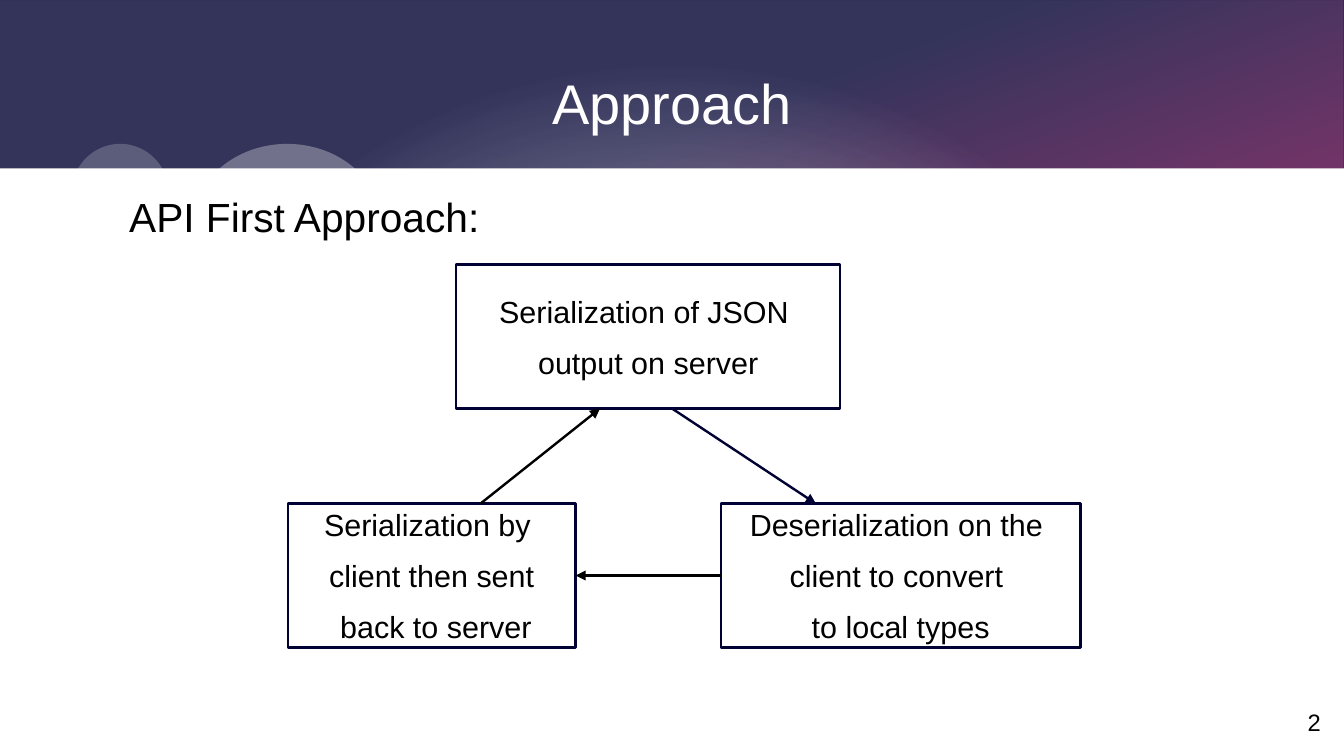
"""Build the Approach slide: an API-first cycle of three steps."""
from pptx import Presentation
from pptx.dml.color import RGBColor
from pptx.enum.shapes import MSO_CONNECTOR, MSO_SHAPE
from pptx.enum.text import MSO_ANCHOR, PP_ALIGN
from pptx.oxml import parse_xml
from pptx.oxml.ns import nsdecls, qn
from pptx.util import Inches, Pt

COLORS = {"navy": "000032", "pink": "F60063", "white": "FFFFFF", "black": "000000"}
FONT = "Arial"
WIDTH, HEIGHT, HEADER = 11.02, 6.2, 1.38
BOX_HEIGHT = 1.18


def add_shape(page, kind, left, top, width, height, stops, shading=""):
    """Add a shape with one solid stop, or a gradient of (position, color, opacity)."""
    shape = page.shapes.add_shape(
        kind, Inches(left), Inches(top), Inches(width), Inches(height))
    shape.shadow.inherit = False
    shape.line.fill.background()
    shape.fill.background()
    tints = [(position, f'<a:srgbClr val="{COLORS[color]}">'
              f'<a:alpha val="{opacity * 1000}"/></a:srgbClr>')
             for position, color, opacity in stops]
    if shading:
        marks = "".join(f'<a:gs pos="{position * 1000}">{tint}</a:gs>'
                        for position, tint in tints)
        fill = (f'<a:gradFill {nsdecls("a")} rotWithShape="1">'
                f'<a:gsLst>{marks}</a:gsLst>{shading}</a:gradFill>')
    else:
        fill = f'<a:solidFill {nsdecls("a")}>{tints[0][1]}</a:solidFill>'
    properties = shape.fill._xPr
    properties.replace(properties.find(qn("a:noFill")), parse_xml(fill))
    return shape


def write(box, text, size, color="black", align=PP_ALIGN.LEFT,
          anchor=MSO_ANCHOR.TOP, margins=(0, 0), wrap=True, after=0):
    """Fill a box with one paragraph for each line of text."""
    frame = box.text_frame
    frame.word_wrap = wrap
    frame.vertical_anchor = anchor
    frame.margin_left = frame.margin_right = Inches(margins[0])
    frame.margin_top = frame.margin_bottom = Inches(margins[1])
    for index, line in enumerate(text.split("\n")):
        para = frame.add_paragraph() if index else frame.paragraphs[0]
        para.alignment = align
        para.space_after = Pt(after)
        span = para.add_run()
        span.text = line
        span.font.name = FONT
        span.font.size = Pt(size)
        span.font.color.rgb = RGBColor.from_string(COLORS[color])


deck = Presentation()
deck.slide_width, deck.slide_height = Inches(WIDTH), Inches(HEIGHT)
page = deck.slides.add_slide(deck.slide_layouts[6])

add_shape(page, MSO_SHAPE.RECTANGLE, 0, 0, WIDTH, HEIGHT,
          [(30, "navy", 100), (100, "pink", 100)],
          '<a:lin ang="4200000" scaled="0"/>')
add_shape(page, MSO_SHAPE.RECTANGLE, 0, 0, WIDTH, HEIGHT,
          [(0, "white", 90), (75, "white", 20)],
          '<a:path path="circle"><a:fillToRect l="50000" t="85000" '
          'r="50000" b="15000"/></a:path>')
add_shape(page, MSO_SHAPE.RECTANGLE, 0, HEADER, WIDTH, HEIGHT - HEADER,
          [(0, "white", 100)])
for left, width, height, opacity in [(1.57, 1.57, 1.38, 30), (0.59, 0.79, 0.79, 20)]:
    add_shape(page, MSO_SHAPE.OVAL, left, 1.18, width, height,
              [(0, "white", opacity)])

labels = [
    ("Approach", (0.59, 0.3, 9.84, 1.08),
     dict(size=33, color="white", align=PP_ALIGN.CENTER, anchor=MSO_ANCHOR.MIDDLE)),
    ("API First Approach:", (1.06, 1.57, 9.37, 0.5), dict(size=24)),
    ("2", (8.27, 5.61, 2.56, 0.43),
     dict(size=14, align=PP_ALIGN.RIGHT, anchor=MSO_ANCHOR.BOTTOM)),
]
for text, place, style in labels:
    write(page.shapes.add_textbox(*map(Inches, place)), text, **style)

steps = [
    ("Serialization of JSON \noutput on server", 3.74, 2.17, 3.15),
    ("Deserialization on the \nclient to convert \nto local types", 5.91, 4.13, 2.95),
    ("Serialization by \nclient then sent\n back to server", 2.36, 4.13, 2.36),
]
for text, left, top, width in steps:
    step = add_shape(page, MSO_SHAPE.RECTANGLE, left, top, width, BOX_HEIGHT,
                     [(0, "white", 70)])
    step.line.color.rgb = RGBColor.from_string(COLORS["navy"])
    step.line.width = Pt(1.42)
    write(step, text, 18, align=PP_ALIGN.CENTER, anchor=MSO_ANCHOR.MIDDLE,
          margins=(0.1, 0.05), wrap=False, after=8.5)

arrows = [
    (5.51, 3.35, 6.69, 4.13, "navy"),
    (5.91, 4.72, 4.72, 4.72, "black"),
    (3.94, 4.13, 4.92, 3.35, "black"),
]
for *ends, color in arrows:
    arrow = page.shapes.add_connector(MSO_CONNECTOR.STRAIGHT, *map(Inches, ends))
    arrow.line.color.rgb = RGBColor.from_string(COLORS[color])
    arrow.line.width = Pt(1.42)
    arrow.line._get_or_add_ln().append(
        parse_xml(f'<a:tailEnd {nsdecls("a")} type="triangle"/>'))
    arrow._element.spPr.append(parse_xml(f'<a:effectLst {nsdecls("a")}/>'))

deck.save("out.pptx")
